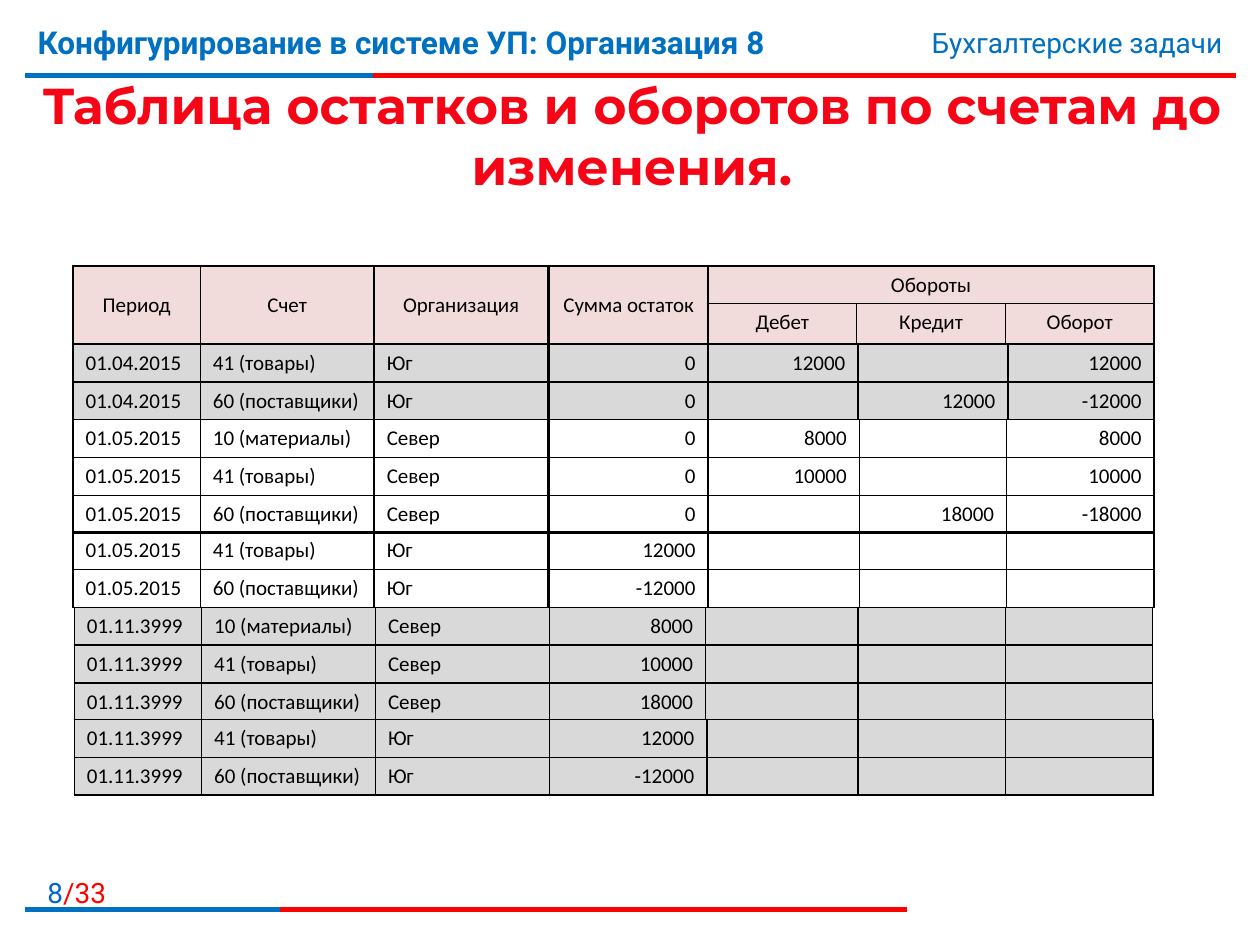
"""Build the slide with account balances and turnovers before the change."""
from dataclasses import dataclass

from lxml.etree import SubElement
from pptx import Presentation
from pptx.dml.color import RGBColor
from pptx.enum.shapes import MSO_CONNECTOR
from pptx.enum.text import MSO_ANCHOR, MSO_AUTO_SIZE, PP_ALIGN
from pptx.oxml import parse_xml
from pptx.oxml.ns import nsdecls, qn
from pptx.util import Inches, Pt

LEFT, CENTER, RIGHT = PP_ALIGN.LEFT, PP_ALIGN.CENTER, PP_ALIGN.RIGHT


@dataclass(frozen=True)
class Theme:
    blue: str = "0070C0"
    page_blue: str = "0066CC"
    red: str = "FF0000"
    title_red: str = "F50516"
    title_dark: str = "C00000"
    white: str = "FFFFFF"
    black: str = "000000"
    pink: str = "F2DCDB"
    grey: str = "D9D9D9"
    title_font: str = "Montserrat"
    frame_font: str = "Roboto"
    table_font: str = "Calibri"
    title_size: float = 28.8
    course_size: float = 18
    small_size: float = 16
    table_size: float = 12
    rule_width: float = 3
    border_width: float = 1
    outline_width: float = 0.75


def grid(units):
    """Convert units of a 100 by 75 slide grid to a length."""
    return Inches(units / 10)


def outline(tag, color, width):
    """Return a solid line element for a cell side or for letters."""
    return parse_xml(
        f'<a:{tag} {nsdecls("a")} w="{int(Pt(width))}"><a:solidFill>'
        f'<a:srgbClr val="{color}"/></a:solidFill></a:{tag}>'
    )


class SlideBuilder:
    def __init__(self, slide, theme):
        self.slide = slide
        self.theme = theme

    def add_run(self, paragraph, text, font, size, color=None, bold=False):
        run = paragraph.add_run()
        run.text = text
        run.font.name, run.font.size, run.font.bold = font, Pt(size), bold
        if color:
            run.font.color.rgb = RGBColor.from_string(color)
        return run

    def set_title(self, text, left, top, width, height):
        theme, shape = self.theme, self.slide.shapes.title
        shape.left, shape.top = grid(left), grid(top)
        shape.width, shape.height = grid(width), grid(height)
        frame = shape.text_frame
        frame.auto_size = MSO_AUTO_SIZE.NONE
        frame.vertical_anchor = MSO_ANCHOR.MIDDLE
        paragraph = frame.paragraphs[0]
        paragraph.alignment = CENTER
        run = self.add_run(paragraph, text, theme.title_font, theme.title_size, bold=True)
        fill = run.font.fill
        fill.gradient()
        fill.gradient_angle = 270
        stops = ((0.55, theme.title_red), (0.86, theme.title_dark))
        for stop, (position, color) in zip(fill.gradient_stops, stops):
            stop.position = position
            stop.color.rgb = RGBColor.from_string(color)
        properties = run.font._element
        properties.insert(0, outline("ln", theme.white, theme.outline_width))

    def add_text(self, runs, left, top, width, height, size, align=LEFT, bold=False):
        shape = self.slide.shapes.add_textbox(grid(left), grid(top), grid(width), grid(height))
        shape.text_frame.word_wrap = True
        paragraph = shape.text_frame.paragraphs[0]
        paragraph.alignment = align
        for text, color in runs:
            self.add_run(paragraph, text, self.theme.frame_font, size, color, bold)

    def add_line(self, left, right, top, color):
        line = self.slide.shapes.add_connector(
            MSO_CONNECTOR.STRAIGHT, grid(left), grid(top), grid(right), grid(top)
        )
        line.line.color.rgb = RGBColor.from_string(color)
        line.line.width = Pt(self.theme.rule_width)
        SubElement(line._element.spPr, qn("a:effectLst"))

    def add_rule(self, left, middle, right, top):
        self.add_line(left, right, top, self.theme.red)
        self.add_line(left, middle, top, self.theme.blue)

    def add_table(self, rows, left, top, columns, heights, height, fill, align, anchor=MSO_ANCHOR.TOP):
        frame = self.slide.shapes.add_table(
            len(rows), len(columns), grid(left), grid(top), grid(sum(columns)), grid(height)
        )
        table = frame.table
        table.first_row = table.horz_banding = False
        for column, width in zip(table.columns, columns):
            column.width = grid(width)
        for row, row_height, texts in zip(table.rows, heights, rows):
            row.height = grid(row_height)
            for cell, text in zip(row.cells, texts):
                self.fill_cell(cell, text, fill, align, anchor)
        frame.height = grid(height)
        return table

    def fill_cell(self, cell, text, fill, align, anchor):
        theme = self.theme
        cell.vertical_anchor = anchor
        paragraph = cell.text_frame.paragraphs[0]
        paragraph.alignment = align
        if text:
            self.add_run(paragraph, text, theme.table_font, theme.table_size, theme.black)
        else:
            SubElement(paragraph._p, qn("a:endParaRPr"), sz=str(theme.table_size * 100))
        properties = cell._tc.get_or_add_tcPr()
        for side in ("lnL", "lnR", "lnT", "lnB"):
            properties.append(outline(side, theme.black, theme.border_width))
        if fill:
            cell.fill.solid()
            cell.fill.fore_color.rgb = RGBColor.from_string(fill)
        else:
            cell.fill.background()

    def add_header(self, top):
        pink, middle = self.theme.pink, MSO_ANCHOR.MIDDLE
        self.add_table([("Период", "Счет")], 5.8, top, ACCOUNT, [6.3], 6.3, pink, CENTER, middle)
        self.add_table([("Организация",)], 29.7, top, COMPANY, [6.3], 6.3, pink, CENTER, middle)
        rows = [("Сумма остаток", "Обороты", "", ""), ("", "Дебет", "Кредит", "Оборот")]
        table = self.add_table(
            rows, 43.6, top, (12.6, 11.8, 11.8, 11.8), (2.8, 3.2), 6.2, pink, CENTER
        )
        table.cell(0, 0).merge(table.cell(1, 0))
        table.cell(0, 0).vertical_anchor = middle
        table.cell(0, 1).merge(table.cell(0, 3))

    def add_band(self, band):
        heights, height = [ROW] * len(band.rows), 3 * len(band.rows)
        blocks = (
            (slice(0, 2), 5.8 + band.shift, ACCOUNT, LEFT),
            (slice(2, 3), 29.7 + band.shift, COMPANY, LEFT),
            (slice(3, 7), 43.6, band.amounts, RIGHT),
        )
        for part, left, columns, align in blocks:
            rows = [row[part] for row in band.rows]
            self.add_table(rows, left, band.top, columns, heights, height, band.fill, align)


@dataclass(frozen=True)
class Band:
    top: float
    fill: str
    amounts: tuple
    rows: list
    shift: float = 0


ROW = 2.8
ACCOUNT, COMPANY = (10.1, 13.8), (13.8,)
MATERIALS, GOODS, SUPPLIERS = "10 (материалы)", "41 (товары)", "60 (поставщики)"
NORTH, SOUTH = "Север", "Юг"


def records(date, company, *entries):
    """Return full rows, padding missing turnovers with empty cells."""
    return [
        (date, account, company, *amounts, *[""] * (4 - len(amounts)))
        for account, *amounts in entries
    ]


def main():
    theme = Theme()
    april, may, final = "01.04.2015", "01.05.2015", "01.11.3999"
    south_balance = (GOODS, "12000"), (SUPPLIERS, "-12000")
    bands = [
        Band(27.3, theme.grey, (12.6, 11.9, 11.9, 11.6), records(
            april, SOUTH, (GOODS, "0", "12000", "", "12000"),
            (SUPPLIERS, "0", "", "12000", "-12000"))),
        Band(33.3, "", (12.6, 12, 11.7, 11.7), records(
            may, NORTH, (MATERIALS, "0", "8000", "", "8000"),
            (GOODS, "0", "10000", "", "10000"),
            (SUPPLIERS, "0", "", "18000", "-18000"))),
        Band(42.2, "", (12.6, 12, 11.7, 11.7), records(may, SOUTH, *south_balance)),
        Band(48.2, theme.grey, (12.4, 12.1, 11.7, 11.7), records(
            final, NORTH, (MATERIALS, "8000"), (GOODS, "10000"), (SUPPLIERS, "18000")), 0.1),
        Band(57.1, theme.grey, (12.5, 12, 11.7, 11.7), records(final, SOUTH, *south_balance), 0.1),
    ]
    presentation = Presentation()
    presentation.slide_width, presentation.slide_height = grid(100), grid(75)
    slide = presentation.slides.add_slide(presentation.slide_layouts[5])
    builder = SlideBuilder(slide, theme)
    builder.add_rule(2, 29.6, 98.1, 6)
    builder.add_text([("8", theme.page_blue), ("/33", theme.red)], 0, 69, 9.4, 3.2, theme.small_size, RIGHT)
    builder.add_rule(2, 22.2, 72, 72.2)
    course = "Конфигурирование в системе УП: Организация 8"
    builder.add_text([(course, theme.blue)], 2, 1.3, 74, 6.2, theme.course_size, bold=True)
    builder.add_text([("Бухгалтерские задачи", theme.blue)], 59.4, 1.5, 38.6, 3.7, theme.small_size, RIGHT)
    builder.set_title("Таблица остатков и оборотов по счетам до изменения.", 2.1, 6.3, 96.1, 8.8)
    builder.add_header(21.1)
    for band in bands:
        builder.add_band(band)
    presentation.save("out.pptx")


if __name__ == "__main__":
    main()
